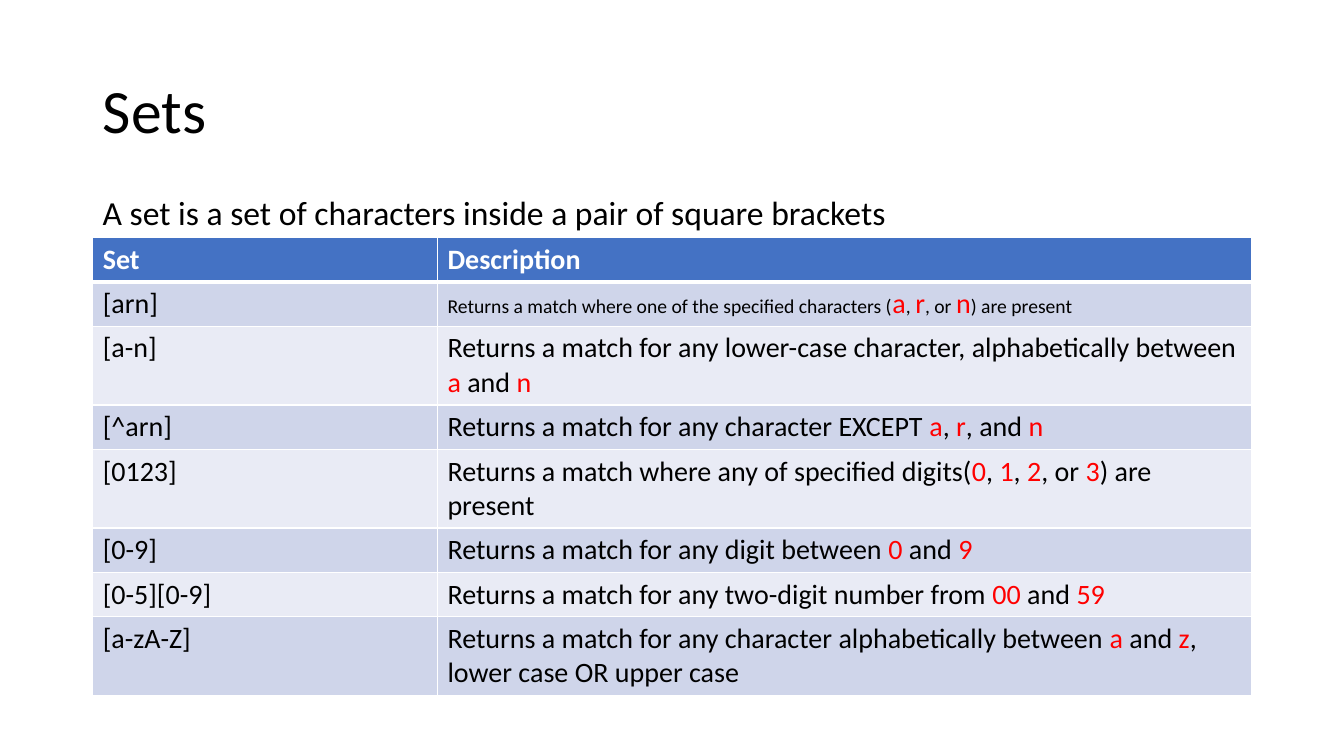
from lxml import etree
from pptx import Presentation
from pptx import util as u
from pptx.dml.color import RGBColor
from pptx.enum import text
from pptx.oxml import ns

TITLE_ONLY = 5
LEFT, WIDTH = 6.9, 86.25  # percent of the slide's width

# Asterisks enclose the characters shown in the accent colour.
SETS = [
    ("[arn]", "Returns a match where one of the specified characters (*a*, *r*, or *n*) are present", 14),
    ("[a-n]", "Returns a match for any lower-case character, alphabetically between *a* and *n*", 20),
    ("[^arn]", "Returns a match for any character EXCEPT *a*, *r*, and *n*", 20),
    ("[0123]", "Returns a match where any of specified digits(*0*, *1*, *2*, or *3*) are present", 20),
    ("[0-9]", "Returns a match for any digit between *0* and *9*", 20),
    ("[0-5][0-9]", "Returns a match for any two-digit number from *00* and *59*", 20),
    ("[a-zA-Z]", "Returns a match for any character alphabetically between *a* and *z*, lower case OR upper case", 20),
]


def color(value):
    return RGBColor.from_string(value)


class SlideBuilder:
    """Holds the style and the current slide; lengths are percents of the slide's size."""

    font = "Calibri"
    ink, paper, accent = "000000", "FFFFFF", "FF0000"
    header, bands = "4472C4", ("CFD5EA", "E9EBF5")
    cell_size = 20

    def __init__(self, deck):
        self.deck = deck
        self.page = deck.slides.add_slide(deck.slide_layouts[TITLE_ONLY])

    def across(self, percent):
        return round(self.deck.slide_width * percent / 100)

    def down(self, percent):
        return round(self.deck.slide_height * percent / 100)

    def area(self, left, top, width, height):
        return self.across(left), self.down(top), self.across(width), self.down(height)

    def style(self, font, size, ink, bold=False):
        font.name, font.size, font.bold = self.font, u.Pt(size), bold
        font.color.rgb = color(ink)

    def title(self, words, *area):
        box = self.page.shapes.title
        box.left, box.top, box.width, box.height = self.area(*area)
        box.text_frame.text = words
        box.text_frame.vertical_anchor = text.MSO_ANCHOR.MIDDLE
        para = box.text_frame.paragraphs[0]
        para.alignment, para.line_spacing = text.PP_ALIGN.LEFT, 0.9
        self.style(para.font, 44, self.ink)

    def label(self, words, size, *area):
        frame = self.page.shapes.add_textbox(*self.area(*area)).text_frame
        frame.word_wrap = True
        frame.auto_size = text.MSO_AUTO_SIZE.SHAPE_TO_FIT_TEXT
        frame.text = words
        self.style(frame.paragraphs[0].font, size, self.ink)

    def borders(self, cell, **widths):
        properties = cell._tc.get_or_add_tcPr()
        for side in "LRTB":
            line = etree.SubElement(properties, ns.qn(f"a:ln{side}"), w=str(u.Pt(widths.get(side, 1))))
            fill = etree.SubElement(line, ns.qn("a:solidFill"))
            etree.SubElement(fill, ns.qn("a:srgbClr"), val=self.paper)

    def fill(self, cell, value):
        cell.fill.solid()
        cell.fill.fore_color.rgb = color(value)

    def marked_text(self, para, words, size):
        """Write words, with the parts between asterisks in the accent colour."""
        for index, part in enumerate(words.split("*")):
            if part:
                span = para.add_run()
                span.text = part
                marked = index % 2
                self.style(span.font, self.cell_size if marked else size,
                           self.accent if marked else self.ink)

    def table(self, headings, rows, widths, row_height, left, top):
        area = self.area(left, top, sum(widths), row_height * (len(rows) + 1))
        grid = self.page.shapes.add_table(len(rows) + 1, len(widths), *area).table
        for column, width in zip(grid.columns, widths):
            column.width = self.across(width)
        for cell, heading in zip(grid.rows[0].cells, headings):
            self.borders(cell, B=3)
            self.fill(cell, self.header)
            cell.text = heading
            self.style(cell.text_frame.paragraphs[0].font, self.cell_size, self.paper, bold=True)
        for number, (pattern, description, size) in enumerate(rows):
            cells = grid.rows[number + 1].cells
            for cell, words, points in zip(cells, (pattern, description), (self.cell_size, size)):
                self.borders(cell, T=1 if number else 3)
                self.fill(cell, self.bands[number % 2])
                self.marked_text(cell.text_frame.paragraphs[0], words, points)


def main():
    deck = Presentation()
    deck.slide_width, deck.slide_height = u.Inches(13.33), u.Inches(7.5)
    slide = SlideBuilder(deck)
    slide.title("Sets", LEFT, 5.33, WIDTH, 19.33)
    slide.table(("Set", "Description"), SETS, (25.65, WIDTH - 25.65), 5.45, LEFT, 31.4)
    slide.label("A set is a set of characters inside a pair of square brackets",
                24, LEFT, 24.67, 67.05, 6.67)
    deck.save("out.pptx")


if __name__ == "__main__":
    main()
